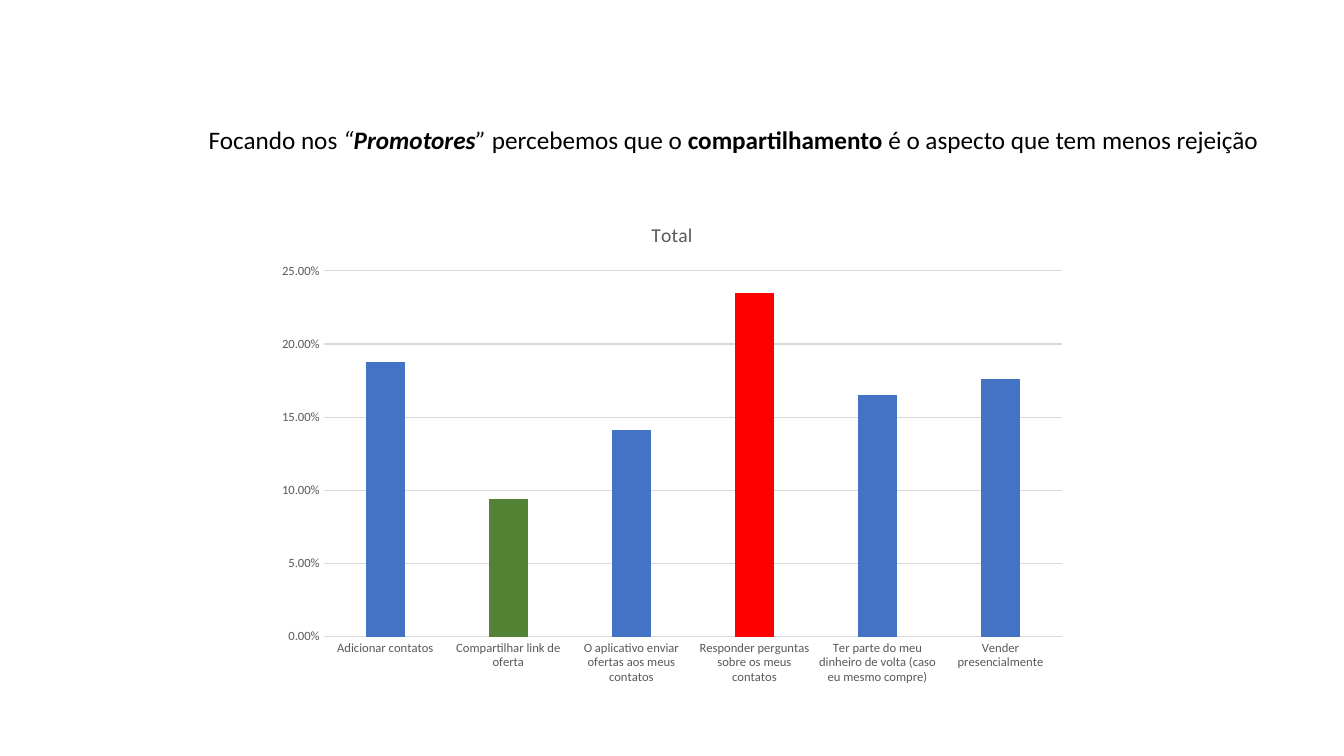
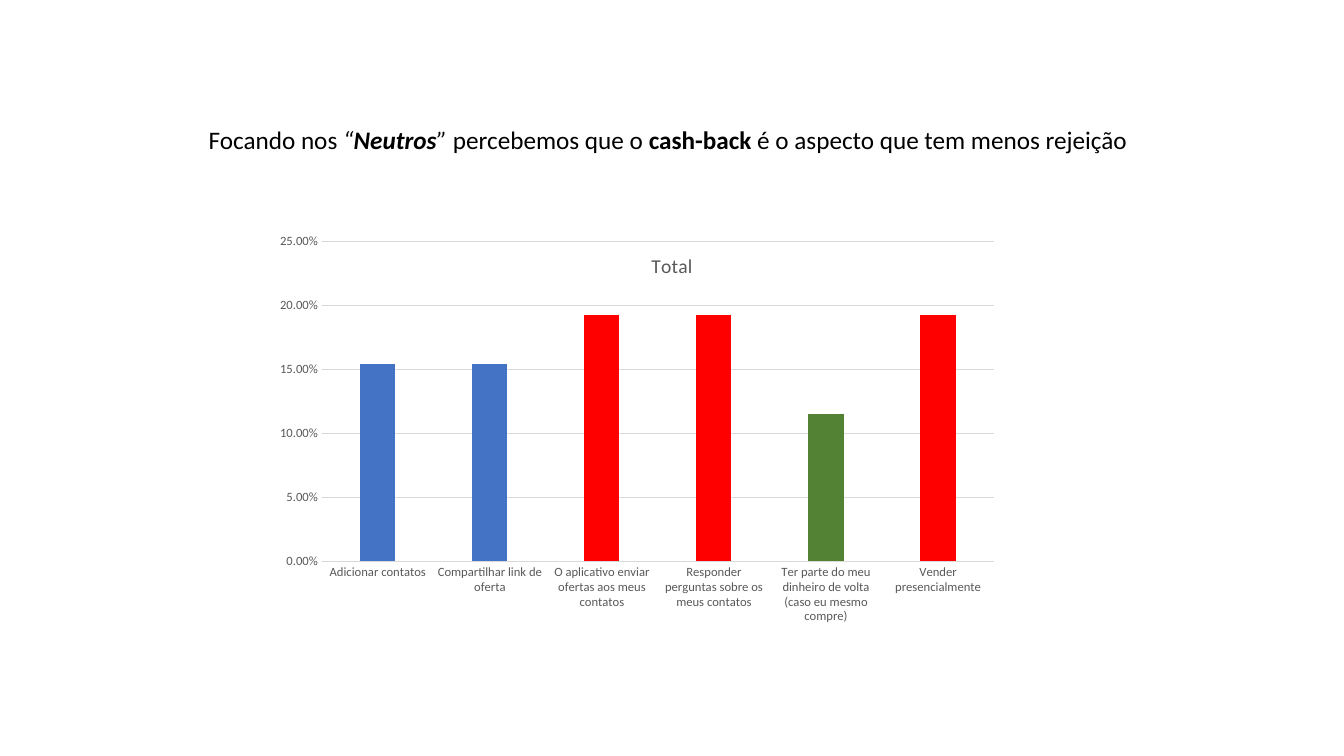
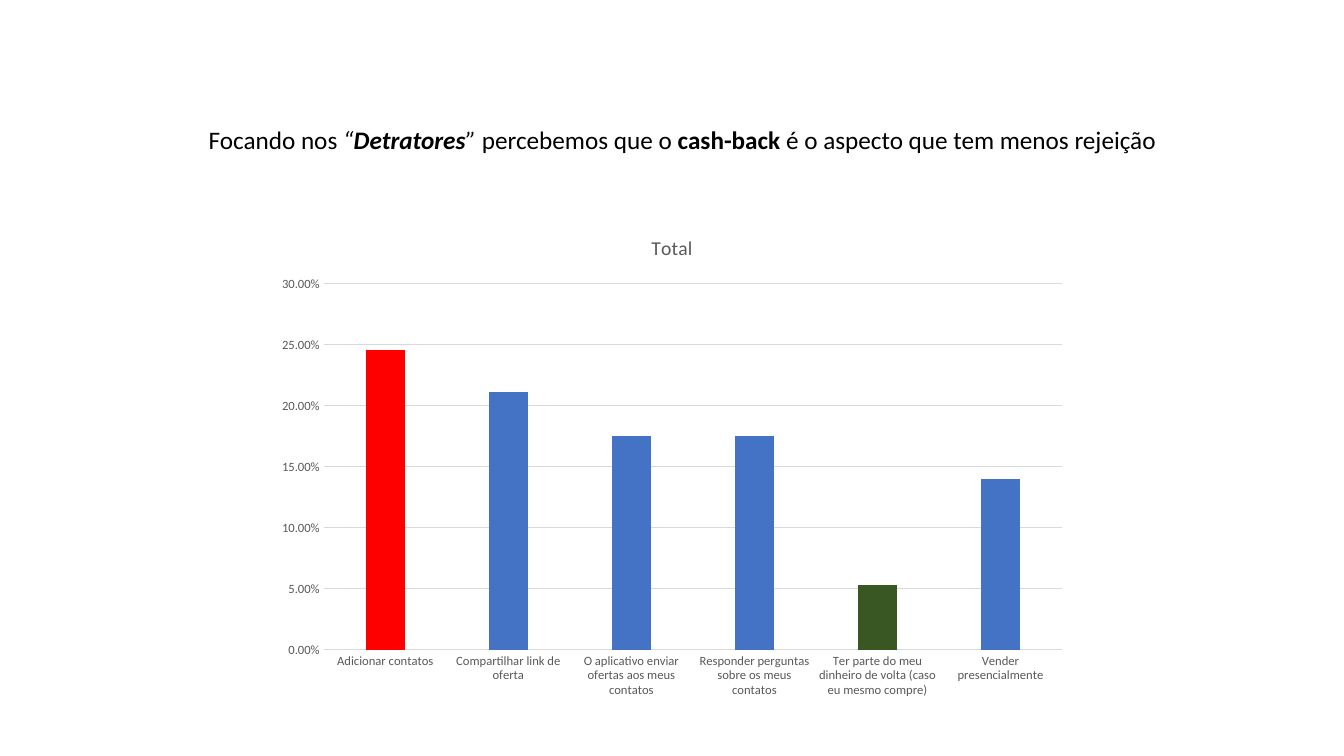
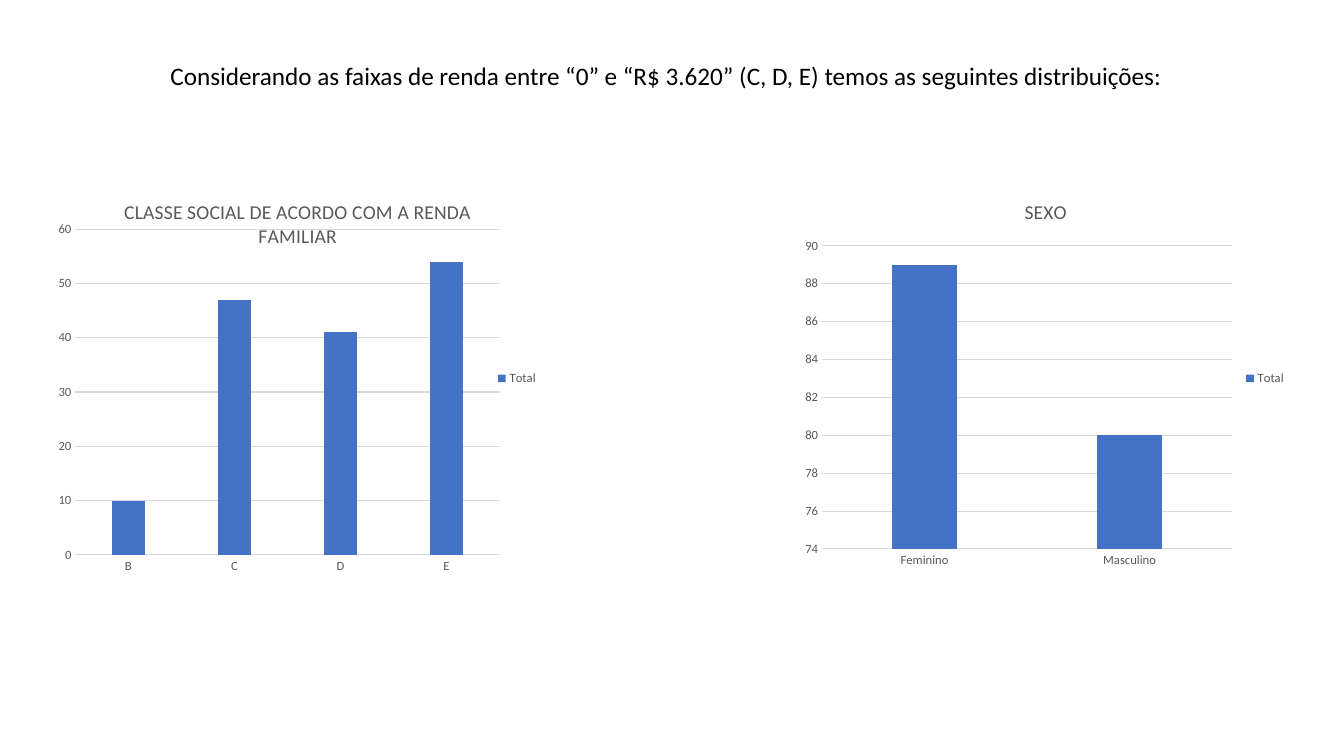
from lxml import etree
from pptx import Presentation
from pptx.chart.data import CategoryChartData as ChartData
from pptx.dml.color import RGBColor
from pptx.enum.chart import XL_CHART_TYPE as ChartType
from pptx.enum.chart import XL_LEGEND_POSITION as LegendPosition
from pptx.enum.chart import XL_TICK_MARK as TickMark
from pptx.enum.text import MSO_ANCHOR as Anchor
from pptx.enum.text import MSO_AUTO_SIZE as AutoSize
from pptx.enum.text import PP_ALIGN as Align
from pptx.oxml.ns import qn
from pptx.util import Pt

FONT = "Calibri"
COLORS = {
    "text": "000000",
    "label": "595959",
    "grid": "D9D9D9",
    "bar": "4472C4",
    "worst": "FF0000",
    "best": "548235",
    "best_dark": "385723",
}
SLIDE_WIDTH, SLIDE_HEIGHT = 960, 540
HEADLINE_HEIGHT = 29

ASPECTS = [
    "Adicionar contatos",
    "Compartilhar link de oferta",
    "O aplicativo enviar ofertas aos meus contatos",
    "Responder perguntas sobre os meus contatos",
    "Ter parte do meu dinheiro de volta (caso eu mesmo compre)",
    "Vender presencialmente",
]

# Chart boxes are (top, width, height); these charts are centred on the slide.
GROUPS = [
    {"name": "Promotores", "aspect": "compartilhamento", "headline_width": 773.3,
     "box": (144.7, 580.3, 351.4),
     "values": [0.188, 0.094, 0.141, 0.235, 0.165, 0.176],
     "highlights": {1: "best", 3: "worst"}},
    {"name": "Neutros", "aspect": "cash-back", "headline_width": 676.1,
     "box": (167, 572.4, 311.8),
     "values": [0.154, 0.154, 0.192, 0.192, 0.115, 0.192],
     "highlights": {2: "worst", 3: "worst", 4: "best", 5: "worst"},
     "plot": (0.063, 0.016, 0.839, 0.734)},
    {"name": "Detratores", "aspect": "cash-back", "headline_width": 699.1,
     "box": (154.1, 580.3, 351.4),
     "values": [0.246, 0.211, 0.175, 0.175, 0.053, 0.14],
     "highlights": {0: "worst", 4: "best_dark"}},
]

INCOME_HEADLINE = ("Considerando as faixas de renda entre “0” e “R$ 3.620” "
                   "(C, D, E) temos as seguintes distribuições:")
PROFILES = [
    {"title": "CLASSE SOCIAL DE ACORDO COM A RENDA FAMILIAR", "left": 33.8,
     "categories": ["B", "C", "D", "E"], "values": [10, 47, 41, 54],
     "plot": (0.056, 0.121, 0.847, 0.827)},
    {"title": "SEXO", "left": 568.1,
     "categories": ["Feminino", "Masculino"], "values": [89, 80]},
]
PROFILE_BOX = (129.6, 357.8, 281.5)


def rgb(name):
    return RGBColor.from_string(COLORS[name])


def style_font(font, size, color):
    font.name = FONT
    font.size = Pt(size)
    font.color.rgb = rgb(color)


def write(frame, spans, size=18, color="text", align=Align.LEFT):
    """Fill a text frame with (text, style) spans; style holds b and/or i."""
    para = frame.paragraphs[0]
    para.alignment = align
    for text, style in spans:
        span = para.add_run()
        span.text = text
        style_font(span.font, size, color)
        span.font.bold = "b" in style
        span.font.italic = "i" in style


def add_page(deck, spans, left, top, width):
    """Add a slide whose title placeholder holds the one-line headline."""
    page = deck.slides.add_slide(deck.slide_layouts.get_by_name("Title Only"))
    box = page.shapes.title
    box.left, box.top = Pt(left), Pt(top)
    box.width, box.height = Pt(width), Pt(HEADLINE_HEIGHT)
    frame = box.text_frame
    frame.word_wrap = False
    frame.auto_size = AutoSize.SHAPE_TO_FIT_TEXT
    frame.vertical_anchor = Anchor.TOP
    write(frame, spans)
    return page


def place_plot(chart, plot):
    """Fix the inner plot area at fractions (x, y, w, h) of the chart."""
    area = chart.element.find(".//" + qn("c:plotArea"))
    for old in area.findall(qn("c:layout")):
        area.remove(old)
    layout = etree.Element(qn("c:layout"))
    manual = etree.SubElement(layout, qn("c:manualLayout"))
    settings = [("layoutTarget", "inner"), ("xMode", "edge"), ("yMode", "edge")]
    settings += zip("xywh", plot)
    for tag, value in settings:
        etree.SubElement(manual, qn("c:" + tag)).set("val", str(value))
    area.insert(0, layout)


def style_axes(chart, number_format):
    category, value = chart.category_axis, chart.value_axis
    for axis in (category, value):
        axis.major_tick_mark = axis.minor_tick_mark = TickMark.NONE
        style_font(axis.tick_labels.font, 9, "label")
    value.tick_labels.number_format = number_format
    value.tick_labels.number_format_is_linked = False
    value.format.line.fill.background()
    value.has_major_gridlines = True
    for line in (category.format.line, value.major_gridlines.format.line):
        line.color.rgb = rgb("grid")
        line.width = Pt(0.75)


def add_columns(page, title, categories, values, left, box, number_format="General",
                highlights=None, plot=None, legend=False):
    data = ChartData(number_format=number_format)
    data.categories = categories
    data.add_series("Total", values)
    top, width, height = box
    chart = page.shapes.add_chart(ChartType.COLUMN_CLUSTERED, Pt(left), Pt(top),
                                  Pt(width), Pt(height), data).chart
    style_font(chart.font, 10, "text")
    chart.has_title = True
    write(chart.chart_title.text_frame, [(title, "")], size=14, color="label",
          align=Align.CENTER)
    chart.has_legend = legend
    if legend:
        chart.legend.position = LegendPosition.RIGHT
        chart.legend.include_in_layout = False
        style_font(chart.legend.font, 9, "label")
    style_axes(chart, number_format)

    columns = chart.plots[0]
    columns.gap_width, columns.overlap = 219, -27
    columns.vary_by_categories = False
    series = columns.series[0]
    series.format.fill.solid()
    series.format.fill.fore_color.rgb = rgb("bar")
    for index, color in (highlights or {}).items():
        fill = series.points[index].format.fill
        fill.solid()
        fill.fore_color.rgb = rgb(color)
    if plot:
        place_plot(chart, plot)


def add_group_page(deck, group):
    spans = [
        ("Focando nos ", ""), ("“", "i"), (group["name"], "bi"), ("”", "i"),
        (" percebemos que o ", ""), (group["aspect"], "b"),
        (" é o aspecto que tem menos rejeição", ""),
    ]
    page = add_page(deck, spans, 141.8, 85, group["headline_width"])
    add_columns(page, "Total", ASPECTS, group["values"],
                (SLIDE_WIDTH - group["box"][1]) / 2, group["box"],
                number_format="0.00%", highlights=group["highlights"],
                plot=group.get("plot"))


def add_profile_page(deck):
    page = add_page(deck, [(INCOME_HEADLINE, "")], 114.5, 39.6, 731.5)
    for profile in PROFILES:
        add_columns(page, box=PROFILE_BOX, legend=True, **profile)


def main():
    deck = Presentation()
    deck.slide_width, deck.slide_height = Pt(SLIDE_WIDTH), Pt(SLIDE_HEIGHT)
    for group in GROUPS:
        add_group_page(deck, group)
    add_profile_page(deck)
    deck.save("out.pptx")


if __name__ == "__main__":
    main()
